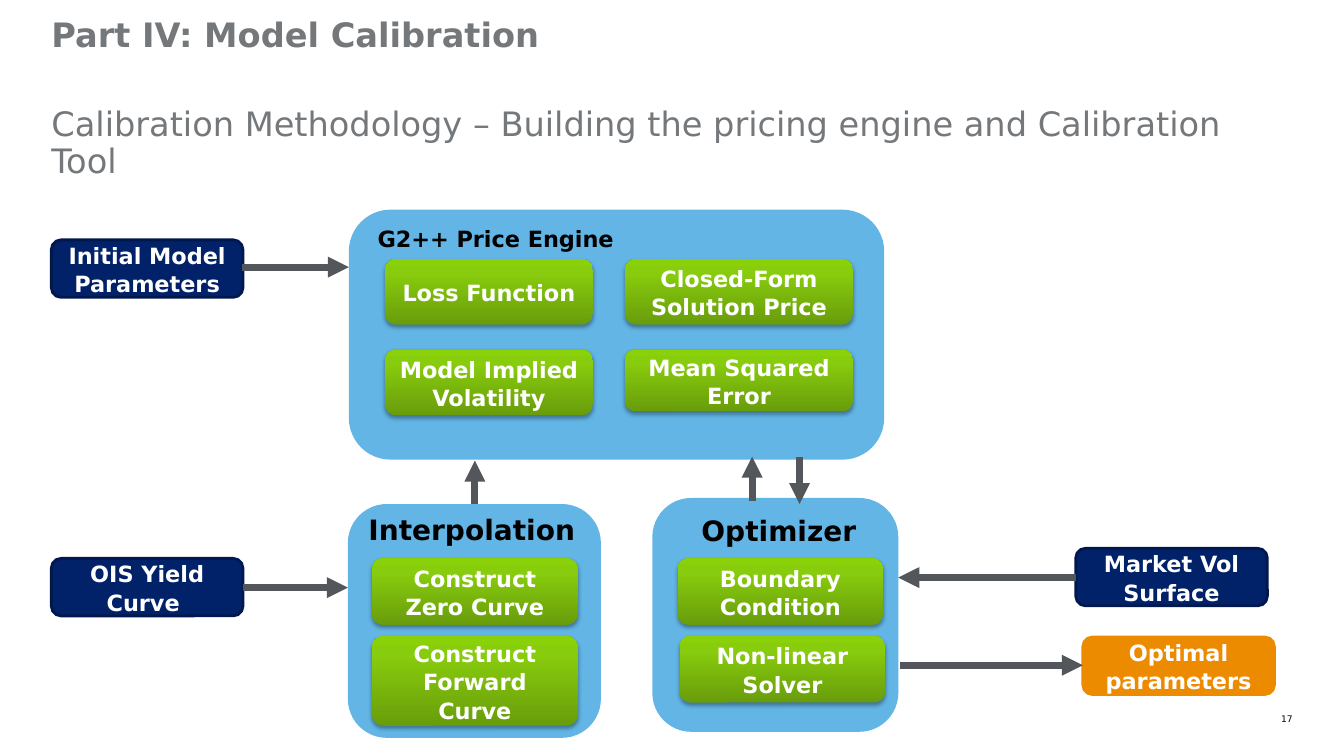
"""Build the slide on the calibration methodology of the G2++ model."""
from pptx import Presentation
from pptx.dml.color import RGBColor
from pptx.enum.shapes import MSO_CONNECTOR, MSO_SHAPE
from pptx.enum.text import MSO_ANCHOR as ANCHOR, PP_ALIGN as ALIGN
from pptx.oxml import parse_xml
from pptx.oxml.ns import nsdecls
from pptx.util import Inches, Pt

FONT = "DejaVu Sans"
NAVY = RGBColor(0x01, 0x21, 0x69)
NAVY_EDGE = RGBColor(0x01, 0x18, 0x4E)
BLUE = RGBColor(0x62, 0xB5, 0xE5)
ORANGE = RGBColor(0xED, 0x8B, 0x00)
GRAY = RGBColor(0x75, 0x78, 0x7B)
DARK_GRAY = RGBColor(0x53, 0x56, 0x5A)
BLACK = RGBColor(0x00, 0x00, 0x00)
WHITE = RGBColor(0xFF, 0xFF, 0xFF)

GREEN_FILL = f"""<a:gradFill {nsdecls('a')} rotWithShape="1"><a:gsLst>
<a:gs pos="0"><a:srgbClr val="699D0B"/></a:gs>
<a:gs pos="80000"><a:srgbClr val="88CC0E"/></a:gs>
<a:gs pos="100000"><a:srgbClr val="8AD10A"/></a:gs>
</a:gsLst><a:lin ang="16200000" scaled="0"/></a:gradFill>"""
SOFT_SHADOW = f"""<a:outerShdw {nsdecls('a')} blurRad="{Pt(3.1)}" dist="{Pt(1.8)}"
dir="5400000" rotWithShape="0"><a:srgbClr val="000000"><a:alpha val="35000"/>
</a:srgbClr></a:outerShdw>"""

prs = Presentation()
prs.slide_width, prs.slide_height = Inches(13.33), Inches(7.5)
CELL = prs.slide_height / 75
slide = prs.slides.add_slide(prs.slide_layouts[6])
shapes = slide.shapes


def write(sp, text, size, color, align, spacing, anchor, insets=(0, 0), bold=True):
    """Set the text of a shape, with side and top insets in cells."""
    tf = sp.text_frame
    tf.text = text
    tf.word_wrap = True
    tf.vertical_anchor = anchor
    tf.margin_left = tf.margin_right = int(insets[0] * CELL)
    tf.margin_top = tf.margin_bottom = int(insets[1] * CELL)
    p = tf.paragraphs[0]
    p.alignment, p.line_spacing = align, spacing
    font = p.runs[0].font
    font.name, font.size, font.bold = FONT, Pt(size), bold
    font.color.rgb = color


def add_box(at, fill, edge=None, text=None):
    """Add a rounded box, placed in cells."""
    sp = shapes.add_shape(MSO_SHAPE.ROUNDED_RECTANGLE, *(int(n * CELL) for n in at))
    sp.shadow.inherit = False
    sp.fill.solid()
    sp.fill.fore_color.rgb = fill
    if edge is None:
        sp.line.fill.background()
    else:
        sp.line.color.rgb = edge
        sp.line.width = Pt(2)
    if text:
        write(sp, text, 16, WHITE, ALIGN.CENTER, 1.06, ANCHOR.MIDDLE, (1, 1))
    return sp


panels = [
    (34.6, 20.8, 53.1, 24.8),
    (34.5, 50, 25.1, 23.2),
    (64.7, 49.4, 24.4, 23.2),
]
for at in panels:
    add_box(at, BLUE)

labels = [
    ("17", (124.8, 70.8, 3.4, 1.1), 6.5, BLACK, ALIGN.RIGHT, 1, ANCHOR.TOP, 0, False),
    ("Calibration Methodology – Building the pricing engine and Calibration Tool",
     (5.1, 10.7, 123.1, 7.6), 24, GRAY, ALIGN.LEFT, 0.9, ANCHOR.TOP, 0, False),
    ("Part IV: Model Calibration",
     (5.1, 1.8, 126, 4.9), 24, GRAY, ALIGN.LEFT, 0.9, ANCHOR.TOP, 0, True),
    ("G2++ Price Engine ",
     (37, 21.4, 25.1, 4.1), 16, BLACK, ALIGN.CENTER, Pt(9), ANCHOR.BOTTOM, 0.5, True),
    ("Interpolation ",
     (36.3, 51.8, 21, 2.9), 20, BLACK, ALIGN.CENTER, Pt(9), ANCHOR.BOTTOM, 0.5, True),
    ("Optimizer",
     (68.9, 50.4, 16.7, 4.4), 20, BLACK, ALIGN.CENTER, Pt(9), ANCHOR.BOTTOM, 0.5, True),
]
for text, at, size, color, align, spacing, anchor, inset, bold in labels:
    tb = shapes.add_textbox(*(int(n * CELL) for n in at))
    write(tb, text, size, color, align, spacing, anchor, (0, inset), bold)

steps = [
    ("Loss Function", 38.2, 25.7, 20.6, 6.5),
    ("Closed-Form Solution Price", 62, 25.7, 22.6, 6.5),
    ("Model Implied Volatility", 38.2, 34.7, 20.6, 6.5),
    ("Mean Squared Error", 62, 34.7, 22.6, 6.1),
    ("Construct Zero Curve", 36.9, 55.4, 20.4, 6.6),
    ("Construct Forward Curve", 36.9, 63.1, 20.4, 8.9),
    ("Boundary Condition", 67.2, 55.4, 20.4, 6.6),
    ("Non-linear Solver", 67.4, 63.1, 20.4, 6.6),
]
for text, *at in steps:
    sp = add_box(at, WHITE, text=text)
    sp.adjustments[0] = min(0.1667, 1.13 / at[3])
    spPr = sp._element.spPr
    spPr.replace(spPr.find("{*}solidFill"), parse_xml(GREEN_FILL))
    spPr.find("{*}effectLst").append(parse_xml(SOFT_SHADOW))

data_boxes = [
    ("Initial Model Parameters", 5.1, 23.8, NAVY, NAVY_EDGE),
    ("OIS Yield Curve ", 5.1, 55.4, NAVY, NAVY_EDGE),
    ("Market Vol Surface", 106.7, 54.4, NAVY, NAVY_EDGE),
    ("Optimal parameters", 107.4, 63.2, ORANGE, ORANGE),
]
for text, left, top, fill, edge in data_boxes:
    add_box((left, top, 19, 5.7), fill, edge, text)

arrows = [
    (24, 26.5, 34.6, 26.5),
    (24.1, 58.3, 34.5, 58.3),
    (47.1, 50, 47.1, 45.7),
    (74.6, 49.7, 74.6, 45.3),
    (79.3, 45.3, 79.3, 50),
    (106.7, 57.3, 89.1, 57.3),
    (89.3, 66, 107.4, 66),
]
for ends in arrows:
    line = shapes.add_connector(MSO_CONNECTOR.STRAIGHT, *(int(n * CELL) for n in ends))
    line.line.color.rgb = DARK_GRAY
    line.line.width = Pt(5)
    line.line._ln.append(parse_xml(f'<a:tailEnd {nsdecls("a")} type="triangle"/>'))
    line._element.spPr.append(parse_xml(f'<a:effectLst {nsdecls("a")}/>'))

prs.save("out.pptx")
